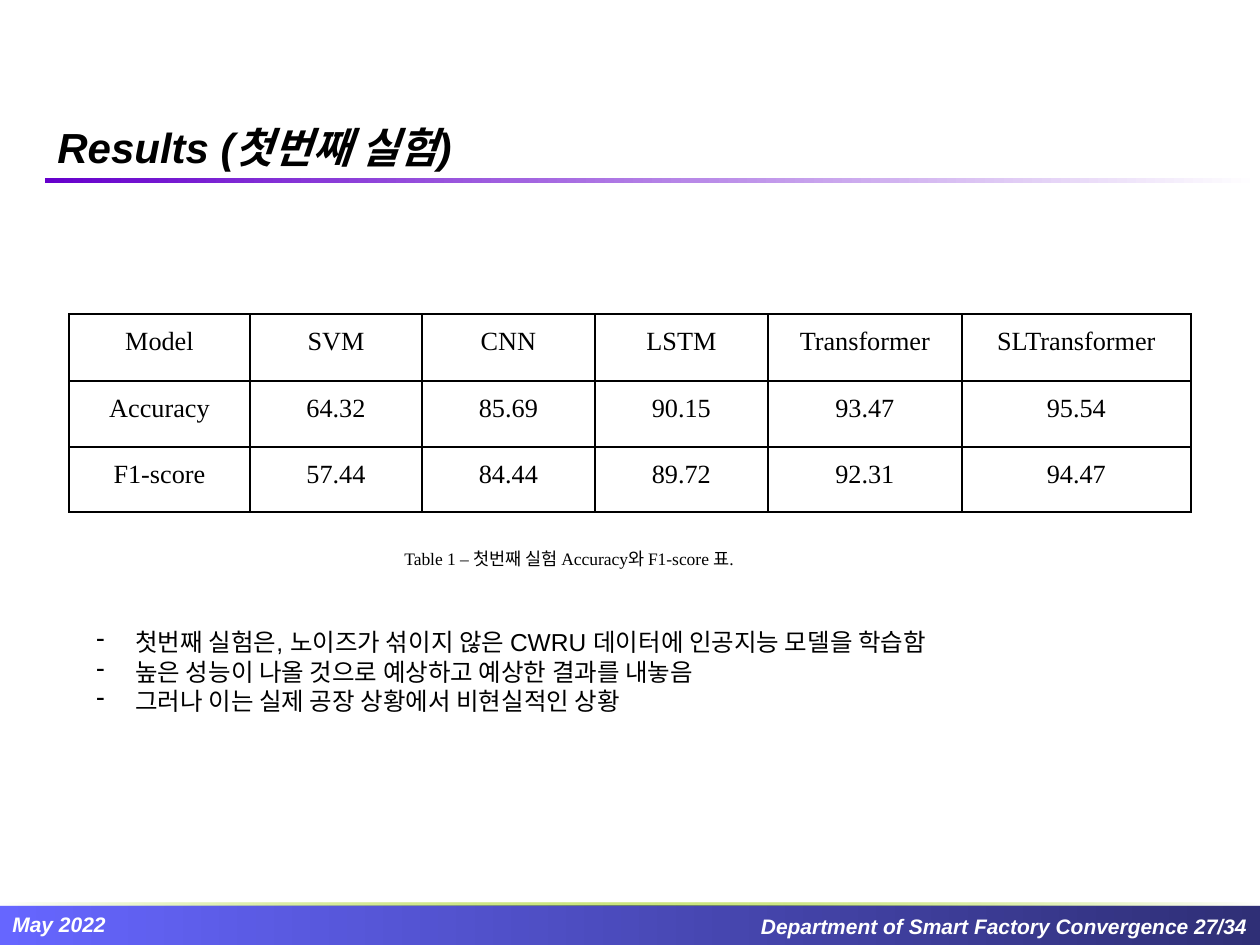
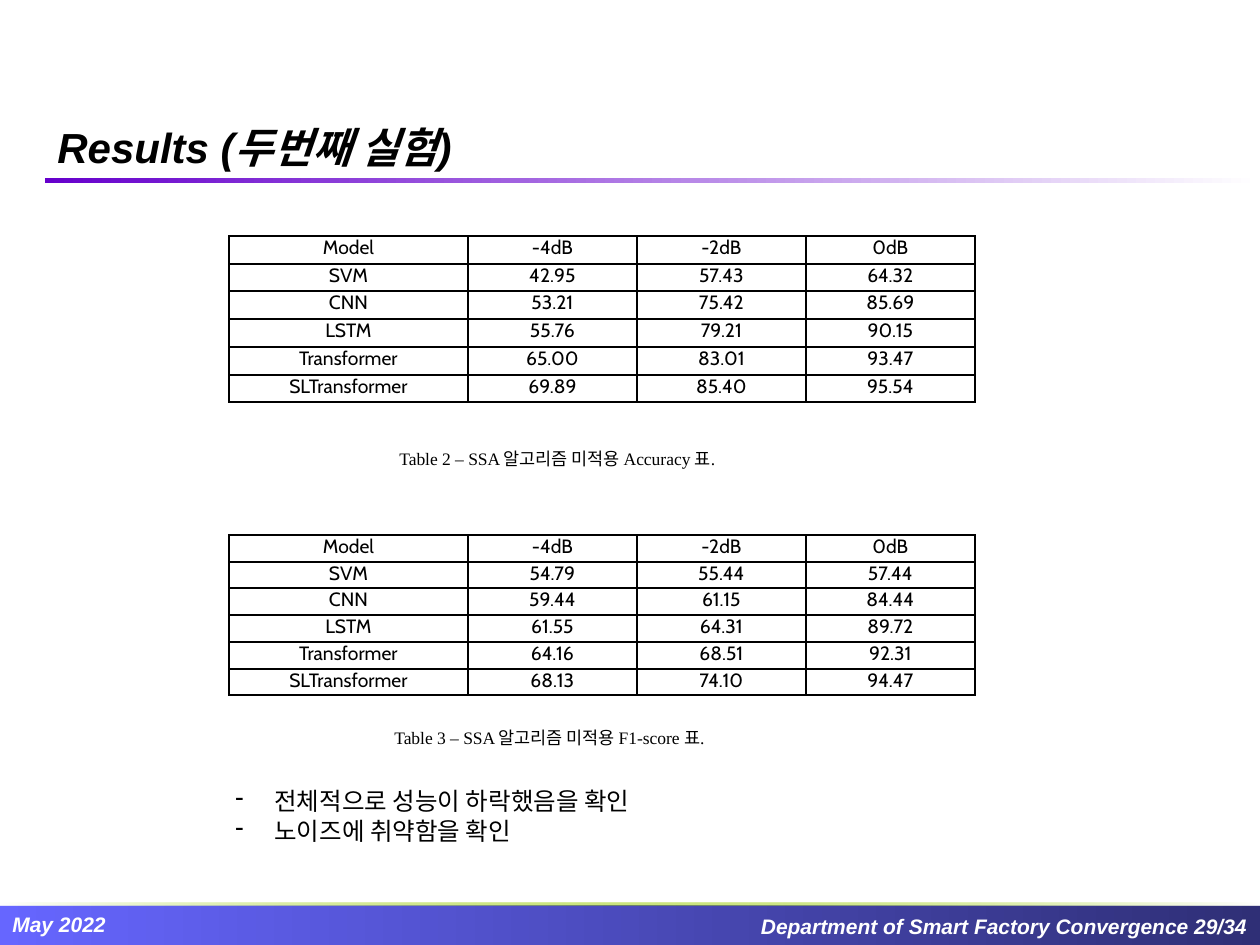
from dataclasses import dataclass

from lxml import etree
from pptx import Presentation
from pptx import util as u
from pptx.dml.color import RGBColor
from pptx.enum import shapes, text
from pptx.oxml import ns

PX = 914400 // 126  # EMU per px
SLIDE_W, SLIDE_H = 1260, 945


@dataclass(frozen=True)
class Theme:
    black: str = "000000"
    white: str = "FFFFFF"
    bar: tuple = ((0, "6666FF", 100), (100, "2F2F76", 100))
    rule: tuple = ((0, "6600CC", 100), (100, "FFFFFF", 100))
    edge: tuple = ((0, "FFFFFF", 100), (50, "99CC00", 50), (100, "FFFFFF", 100))
    sans: str = "Arial"
    serif: str = "Times New Roman"
    table_sans: str = "Cabin"
    title_pt: int = 24
    body_pt: int = 14
    footer_pt: int = 12
    caption_pt: int = 10


T = Theme()
TITLE = dict(name=T.sans, size=T.title_pt, bold=True, italic=True)
BODY = dict(name=T.sans, size=T.body_pt)
CAPTION = dict(name=T.serif, size=T.caption_pt)
FOOTER = dict(name=T.sans, size=T.footer_pt, bold=True, italic=True, color=T.white)
WIDE_CELL = dict(name=T.serif, size=15)
SMALL_CELL = dict(name=T.table_sans, size=11)


def emu(*px):
    return [u.Emu(v * PX) for v in px]


def sub(parent, tag, **attrs):
    return etree.SubElement(parent, ns.qn(tag), {k: str(v) for k, v in attrs.items()})


# --- Shared drawing helpers ---
def set_font(font, style):
    style = {"color": T.black, **style}
    font.color.rgb = RGBColor.from_string(style.pop("color"))
    style["size"] = u.Pt(style["size"])
    for key, value in style.items():
        setattr(font, key, value)


def add_text(s, box, lines, style, align=text.PP_ALIGN.LEFT,
             anchor=text.MSO_ANCHOR.TOP, grow=True, dash_indent=0):
    tf = s.shapes.add_textbox(*emu(*box)).text_frame
    fit = text.MSO_AUTO_SIZE
    settings = dict(word_wrap=True, vertical_anchor=anchor,
                    auto_size=fit.SHAPE_TO_FIT_TEXT if grow else fit.NONE)
    for key, value in settings.items():
        setattr(tf, key, value)
    for i, line in enumerate(lines):
        p = tf.add_paragraph() if i else tf.paragraphs[0]
        p.alignment = align
        if dash_indent:
            pPr = p._p.get_or_add_pPr()
            pPr.set("marL", str(dash_indent * PX))
            pPr.set("indent", str(-dash_indent * PX))
            sub(pPr, "a:buChar", char="-")
        r = p.add_run()
        r.text = line
        set_font(r.font, style)


def add_band(s, box, stops):
    sp = s.shapes.add_shape(shapes.MSO_SHAPE.RECTANGLE, *emu(*box))
    sp.shadow.inherit = False
    sp.line.fill.background()
    sp.fill.gradient()
    sp.fill.gradient_angle = 0
    stop_list = sp._element.spPr.find(".//" + ns.qn("a:gsLst"))
    for old in list(stop_list):
        stop_list.remove(old)
    for position, color, opacity in stops:
        stop = sub(stop_list, "a:gs", pos=position * 1000)
        clr = sub(stop, "a:srgbClr", val=color)
        if opacity < 100:
            sub(clr, "a:alpha", val=opacity * 1000)


def format_cell(cell, value, style, spacing):
    for key, px in dict(left=9, right=9, top=0, bottom=0).items():
        setattr(cell, "margin_" + key, u.Emu(px * PX))
    tcPr = cell._tc.get_or_add_tcPr()
    for side in ("a:lnL", "a:lnR", "a:lnT", "a:lnB"):
        line = sub(tcPr, side, w=u.Pt(1))
        sub(sub(line, "a:solidFill"), "a:srgbClr", val=T.black)
    cell.fill.background()
    p = cell.text_frame.paragraphs[0]
    p.alignment = text.PP_ALIGN.CENTER
    if spacing:
        p.line_spacing = spacing
    r = p.add_run()
    r.text = value
    set_font(r.font, style)


# --- Regions ---
def title_region(s, box, title):
    x, y, w, h = box
    add_band(s, (x, y + h, SLIDE_W - x, 5), T.rule)
    add_text(s, box, [title], TITLE, anchor=text.MSO_ANCHOR.BOTTOM, grow=False)


def footer_region(s, box, page):
    x, y, w, h = box
    add_band(s, (x, y + 2, w, h - 2), T.bar)
    add_band(s, (x, y, w, 3), T.edge)
    add_text(s, (x, y + 2, 392, 38), ["May 2022"], FOOTER)
    add_text(s, (x + w - 520, y + 4, 520, 38),
             [f"Department of Smart Factory Convergence {page}/34"],
             FOOTER, align=text.PP_ALIGN.RIGHT)


def table_region(s, origin, cols, rows, data, style, caption, caption_offset, spacing=None):
    """Table at origin; the caption is offset from its lower left corner."""
    x, y = origin
    frame = s.shapes.add_table(len(rows), len(cols), *emu(x, y, sum(cols), sum(rows)))
    table = frame.table
    table.first_row = table.horz_banding = False
    for col, width in zip(table.columns, cols):
        col.width = u.Emu(width * PX)
    for row, height, values in zip(table.rows, rows, data):
        row.height = u.Emu(height * PX)
        for cell, value in zip(row.cells, values):
            format_cell(cell, value, style, spacing)
    dx, dy = caption_offset
    add_text(s, (x + dx, y + sum(rows) + dy, 432, 34), [caption], CAPTION)


def findings_region(s, box, lines):
    add_text(s, box, lines, BODY, grow=True, dash_indent=39)


def new_slide(prs, title, page):
    s = prs.slides.add_slide(prs.slide_layouts[6])
    title_region(s, (45, 16, 1170, 162), title)
    footer_region(s, (0, 903, SLIDE_W, 42), page)
    return s


# --- Slides ---
MODELS = ["SVM", "CNN", "LSTM", "Transformer", "SLTransformer"]
CLEAN_ACCURACY = ["64.32", "85.69", "90.15", "93.47", "95.54"]
CLEAN_F1 = ["57.44", "84.44", "89.72", "92.31", "94.47"]
NOISE_LEVELS = ["-4dB", "-2dB", "0dB"]
NOISY_ACCURACY = [["42.95", "53.21", "55.76", "65.00", "69.89"],
                  ["57.43", "75.42", "79.21", "83.01", "85.40"], CLEAN_ACCURACY]
NOISY_F1 = [["54.79", "59.44", "61.55", "64.16", "68.13"],
            ["55.44", "61.15", "64.31", "68.51", "74.10"], CLEAN_F1]


def first_experiment(prs):
    s = new_slide(prs, "Results (첫번째 실험)", 27)
    data = [["Model", *MODELS], ["Accuracy", *CLEAN_ACCURACY], ["F1-score", *CLEAN_F1]]
    table_region(s, (69, 314), [181, 172, 173, 173, 194, 229], [67, 66, 65], data,
                 WIDE_CELL, "Table 1 – 첫번째 실험 Accuracy와 F1-score 표.", (323, 30),
                 spacing=1.45)
    findings_region(s, (84, 621, 1012, 102), [
        "첫번째 실험은, 노이즈가 섞이지 않은 CWRU 데이터에 인공지능 모델을 학습함",
        "높은 성능이 나올 것으로 예상하고 예상한 결과를 내놓음",
        "그러나 이는 실제 공장 상황에서 비현실적인 상황",
    ])


def second_experiment(prs):
    s = new_slide(prs, "Results (두번째 실험)", 29)
    tables = [
        (236, [28, 27, 28, 28, 28, 27], NOISY_ACCURACY,
         "Table 2 – SSA 알고리즘 미적용 Accuracy 표.", (158, 40)),
        (535, [27, 26, 27, 27, 27, 26], NOISY_F1,
         "Table 3 – SSA 알고리즘 미적용 F1-score 표.", (153, 26)),
    ]
    for top, rows, scores, caption, offset in tables:
        data = [["Model", *NOISE_LEVELS], *zip(MODELS, *scores)]
        table_region(s, (229, top), [239, 169, 169, 169], rows, data,
                     SMALL_CELL, caption, offset)
    findings_region(s, (223, 780, 774, 72),
                    ["전체적으로 성능이 하락했음을 확인", "노이즈에 취약함을 확인"])


def main():
    prs = Presentation()
    prs.slide_width, prs.slide_height = u.Inches(10), u.Inches(7.5)
    first_experiment(prs)
    second_experiment(prs)
    prs.save("out.pptx")


if __name__ == "__main__":
    main()
